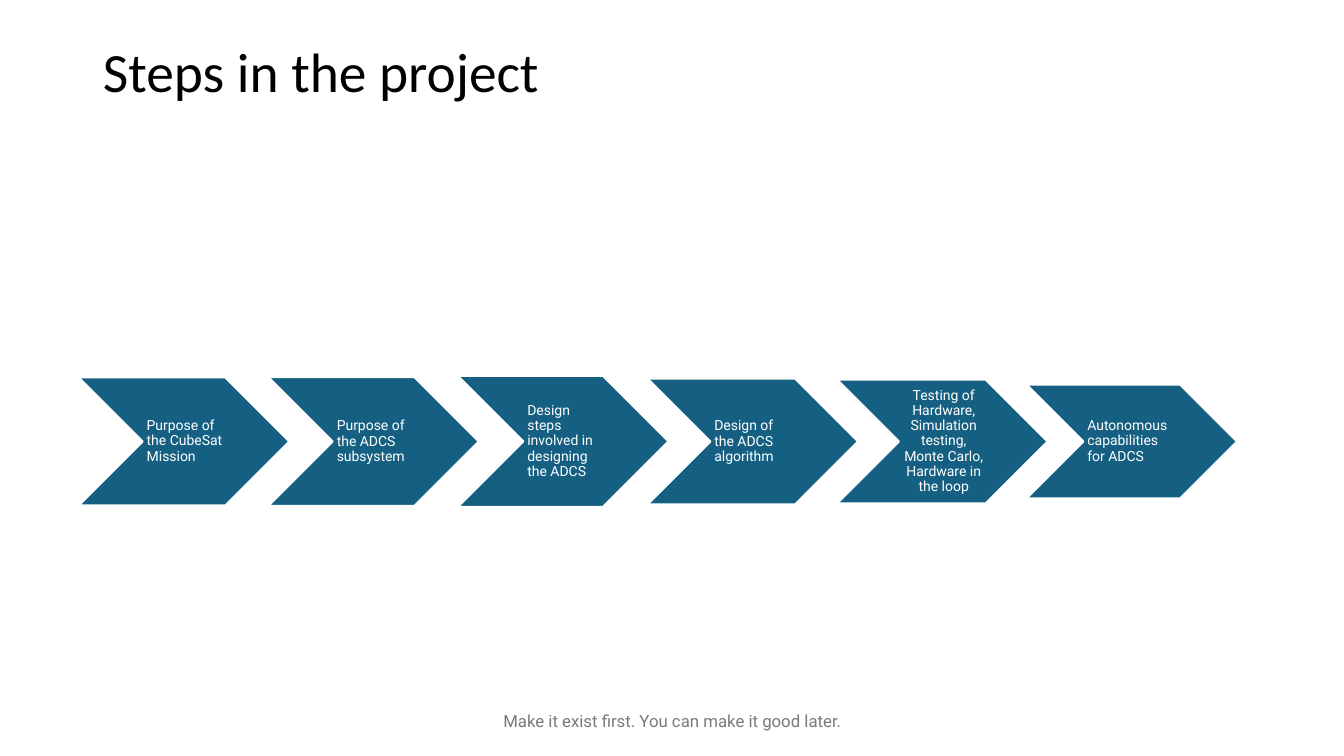
from pptx import Presentation
from pptx import util as u
from pptx.dml.color import RGBColor
from pptx.enum import shapes, text

COLORS = {"title": "000000", "step": "156082", "edge": "FFFFFF",
          "label": "FFFFFF", "footer": "797979"}
LEFT, PITCH, STEP_W, MID_Y = 0.78, 1.88, 2.09, 4.38
ALIGN = text.PP_ALIGN
STEPS = [
    ("Purpose of the CubeSat Mission", 1.27, ALIGN.LEFT),
    ("Purpose of the ADCS subsystem", 1.28, ALIGN.LEFT),
    ("Design steps involved in designing the ADCS", 1.3, ALIGN.LEFT),
    ("Design of the ADCS algorithm", 1.25, ALIGN.LEFT),
    ("Testing of Hardware, Simulation testing, Monte Carlo, Hardware in the loop",
     1.23, ALIGN.CENTER),
    ("Autonomous capabilities for ADCS", 1.13, ALIGN.LEFT),
]


def box(*lengths):
    return [u.Inches(n) for n in lengths]


def write(sp, words, size, font, color, align, spacing, insets):
    tf = sp.text_frame
    frame = {"word_wrap": True, "auto_size": text.MSO_AUTO_SIZE.NONE,
             "vertical_anchor": text.MSO_ANCHOR.MIDDLE}
    sides = ("margin_left", "margin_top", "margin_right", "margin_bottom")
    frame.update(zip(sides, box(*insets)))
    for name, value in frame.items():
        setattr(tf, name, value)
    p = tf.paragraphs[0]
    p.alignment, p.line_spacing = align, spacing
    r = p.add_run()
    r.text = words
    for name, value in {"size": u.Pt(size), "name": font}.items():
        setattr(r.font, name, value)
    r.font.color.rgb = RGBColor.from_string(COLORS[color])


prs = Presentation()
prs.slide_width, prs.slide_height = box(13.33, 7.5)
s = prs.slides.add_slide(prs.slide_layouts[5])

title = s.shapes.title
title.left, title.top, title.width, title.height = box(0.92, 0.4, 11.5, 0.67)
write(title, "Steps in the project", 39.6, "Calibri", "title",
      ALIGN.LEFT, 0.9, (0.1, 0.05, 0.1, 0.05))

for i, (words, height, align) in enumerate(STEPS):
    left, top = LEFT + i * PITCH, MID_Y - height / 2
    sp = s.shapes.add_shape(shapes.MSO_SHAPE.CHEVRON, *box(left, top, STEP_W, height))
    sp.shadow.inherit = False
    sp.fill.solid()
    sp.fill.fore_color.rgb = RGBColor.from_string(COLORS["step"])
    sp.line.color.rgb = RGBColor.from_string(COLORS["edge"])
    sp.line.width = u.Pt(1.5)
    label = s.shapes.add_textbox(*box(left + height / 2, top, STEP_W - height, height))
    write(label, words, 10, "Roboto", "label", align, 0.9, (0.04, 0.01, 0.01, 0.01))

footer = s.shapes.add_textbox(*box(4.42, 6.95, 4.5, 0.4))
write(footer, "Make it exist first. You can make it good later.", 12, "Roboto",
      "footer", ALIGN.CENTER, 1.0, (0.1, 0.05, 0.1, 0.05))

prs.save("out.pptx")
